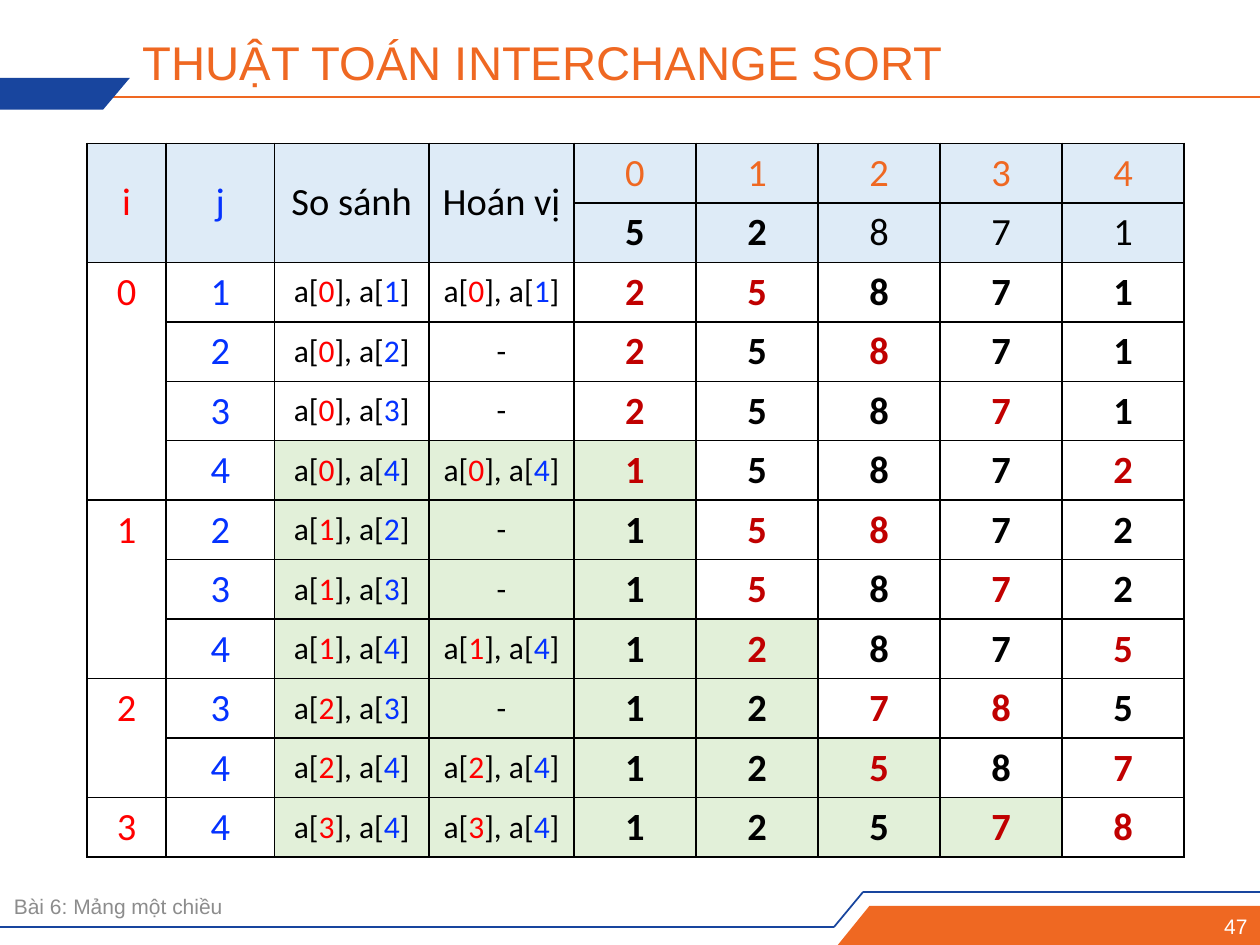
from dataclasses import dataclass

from lxml import etree
from pptx import Presentation
from pptx.dml.color import RGBColor
from pptx.enum.shapes import MSO_CONNECTOR
from pptx.enum.text import MSO_ANCHOR, MSO_AUTO_SIZE, PP_ALIGN
from pptx.oxml.ns import qn
from pptx.slide import Slide
from pptx.table import Table, _Cell
from pptx.util import Cm, Pt

STRAIGHT = MSO_CONNECTOR.STRAIGHT
MIDDLE = MSO_ANCHOR.MIDDLE
NO_AUTOFIT = MSO_AUTO_SIZE.NONE
LEFT, CENTER, RIGHT = PP_ALIGN.LEFT, PP_ALIGN.CENTER, PP_ALIGN.RIGHT

ORANGE = RGBColor(0xEF, 0x68, 0x22)
NAVY = RGBColor(0x18, 0x45, 0x9E)
RED = RGBColor(0xFF, 0x00, 0x00)
BLUE = RGBColor(0x04, 0x32, 0xFF)
DARK_RED = RGBColor(0xC0, 0x00, 0x00)
BLACK = RGBColor(0x00, 0x00, 0x00)
WHITE = RGBColor(0xFF, 0xFF, 0xFF)
GRAY = RGBColor(0x8C, 0x8C, 0x8C)
PALE_BLUE = RGBColor(0xDE, 0xEB, 0xF7)
PALE_GREEN = RGBColor(0xE2, 0xF0, 0xD9)

SLIDE_WIDTH, SLIDE_HEIGHT = 25.4, 19.05
COLUMN_WIDTHS = [1.6, 2.18, 3.12, 2.92] + [2.46] * 5
ROW_HEIGHT = 1.19
HEADER_ROWS = 2
FIRST_VALUE = 4
INITIAL_VALUES = (5, 2, 8, 7, 1)
LAST_INDEX = len(INITIAL_VALUES) - 1


@dataclass(frozen=True)
class Piece:
    text: str
    color: RGBColor


@dataclass(frozen=True)
class Step:
    i: int
    j: int
    swapped: bool
    values: tuple[int, ...]


@dataclass(frozen=True)
class Rule:
    start: tuple[float, float]
    end: tuple[float, float]
    color: RGBColor


@dataclass(frozen=True)
class Band:
    corners: tuple[tuple[float, float], ...]
    color: RGBColor


@dataclass(frozen=True)
class Caption:
    text: str
    box: tuple[float, float, float, float]
    color: RGBColor
    align: PP_ALIGN


STEPS = [
    Step(0, 1, True, (2, 5, 8, 7, 1)),
    Step(0, 2, False, (2, 5, 8, 7, 1)),
    Step(0, 3, False, (2, 5, 8, 7, 1)),
    Step(0, 4, True, (1, 5, 8, 7, 2)),
    Step(1, 2, False, (1, 5, 8, 7, 2)),
    Step(1, 3, False, (1, 5, 8, 7, 2)),
    Step(1, 4, True, (1, 2, 8, 7, 5)),
    Step(2, 3, False, (1, 2, 7, 8, 5)),
    Step(2, 4, True, (1, 2, 5, 8, 7)),
    Step(3, 4, True, (1, 2, 5, 7, 8)),
]
RULES = [
    Rule((1.83, 1.96), (SLIDE_WIDTH, 1.96), ORANGE),
    Rule((0, 18.69), (16.81, 18.69), NAVY),
    Rule((16.81, 18.69), (17.4, 17.98), NAVY),
    Rule((17.4, 17.98), (SLIDE_WIDTH, 17.98), NAVY),
]
BANDS = [
    Band(((0, 1.57), (2.62, 1.57), (2.08, 2.21), (0, 2.21)), NAVY),
    Band(((17.53, 18.26), (SLIDE_WIDTH, 18.26), (SLIDE_WIDTH, 19.05), (16.89, 19.05)), ORANGE),
]
CAPTIONS = [
    Caption("Bài 6: Mảng một chiều", (0.03, 17.88, 16.74, 0.79), GRAY, LEFT),
    Caption("47", (20.09, 18.31, 5.31, 0.71), WHITE, RIGHT),
]


def draw_rule(slide: Slide, rule: Rule) -> None:
    line = slide.shapes.add_connector(STRAIGHT, *map(Cm, rule.start + rule.end))
    line.line.color.rgb = rule.color
    line.line.width = Pt(1)
    etree.SubElement(line._element.spPr, qn("a:effectLst"))


def draw_band(slide: Slide, band: Band) -> None:
    start, *others = [(Cm(x), Cm(y)) for x, y in band.corners]
    outline = slide.shapes.build_freeform(*start)
    outline.add_line_segments(others, close=True)
    ribbon = outline.convert_to_shape()
    ribbon.shadow.inherit = False
    ribbon.fill.solid()
    ribbon.fill.fore_color.rgb = band.color
    ribbon.line.fill.background()


def draw_caption(slide: Slide, caption: Caption) -> None:
    frame = slide.shapes.add_textbox(*map(Cm, caption.box)).text_frame
    frame.word_wrap = True
    frame.vertical_anchor = MIDDLE
    frame.text = caption.text
    paragraph = frame.paragraphs[0]
    paragraph.alignment = caption.align
    font = paragraph.runs[0].font
    font.name, font.size, font.color.rgb = "Arial", Pt(12), caption.color


def set_borders(cell: _Cell, hidden: str = "") -> None:
    properties = cell._tc.get_or_add_tcPr()
    for side in "LRTB":
        border = etree.SubElement(properties, qn(f"a:ln{side}"), w=str(Pt(1)))
        if side in hidden:
            etree.SubElement(border, qn("a:noFill"))
        else:
            fill = etree.SubElement(border, qn("a:solidFill"))
            etree.SubElement(fill, qn("a:srgbClr"), val=str(BLACK))


def fill_cell(cell: _Cell, pieces: list[Piece], background: RGBColor | None = None,
              size: int = 22, bold: bool = False, hidden: str = "") -> None:
    set_borders(cell, hidden)
    if background is None:
        cell.fill.background()
    else:
        cell.fill.solid()
        cell.fill.fore_color.rgb = background
    cell.vertical_anchor = MIDDLE
    paragraph = cell.text_frame.paragraphs[0]
    paragraph.alignment = CENTER
    for piece in pieces:
        run = paragraph.add_run()
        run.text = piece.text
        run.font.name, run.font.size, run.font.bold = "Calibri", Pt(size), bold
        run.font.color.rgb = piece.color


def element_pair(step: Step) -> list[Piece]:
    return [Piece("a[", BLACK), Piece(str(step.i), RED), Piece("], a[", BLACK),
            Piece(str(step.j), BLUE), Piece("]", BLACK)]


def fill_header(table: Table) -> None:
    headings = [Piece("i", RED), Piece("j", BLUE), Piece("So sánh", BLACK), Piece("Hoán vị", BLACK)]
    for column, heading in enumerate(headings):
        fill_cell(table.cell(0, column), [heading], PALE_BLUE)
        fill_cell(table.cell(1, column), [], PALE_BLUE)
        table.cell(0, column).merge(table.cell(1, column))
    for index, value in enumerate(INITIAL_VALUES):
        column = FIRST_VALUE + index
        fill_cell(table.cell(0, column), [Piece(str(index), ORANGE)], PALE_BLUE)
        fill_cell(table.cell(1, column), [Piece(str(value), BLACK)], PALE_BLUE, bold=index < 2)


def fill_step(table: Table, row: int, step: Step) -> None:
    opens, closes = step.j == step.i + 1, step.j == LAST_INDEX
    hidden = ("" if opens else "T") + ("" if closes else "B")
    settled = step.i + closes
    label_fill = PALE_GREEN if settled else None
    pair = element_pair(step)
    fill_cell(table.cell(row, 0), [Piece(str(step.i), RED)] if opens else [], hidden=hidden)
    fill_cell(table.cell(row, 1), [Piece(str(step.j), BLUE)])
    fill_cell(table.cell(row, 2), pair, label_fill, size=18)
    fill_cell(table.cell(row, 3), pair if step.swapped else [Piece("-", BLACK)], label_fill, size=18)
    for index, value in enumerate(step.values):
        color = DARK_RED if index in (step.i, step.j) else BLACK
        fill_cell(table.cell(row, FIRST_VALUE + index), [Piece(str(value), color)],
                  PALE_GREEN if index < settled else None, bold=True)


def draw_trace(slide: Slide) -> None:
    row_count = HEADER_ROWS + len(STEPS)
    table = slide.shapes.add_table(row_count, len(COLUMN_WIDTHS), Cm(1.75), Cm(2.89),
                                   Cm(sum(COLUMN_WIDTHS)), Cm(ROW_HEIGHT * row_count)).table
    table.first_row = table.horz_banding = False
    for column, width in zip(table.columns, COLUMN_WIDTHS):
        column.width = Cm(width)
    for row in table.rows:
        row.height = Cm(ROW_HEIGHT)
    fill_header(table)
    for row, step in enumerate(STEPS, HEADER_ROWS):
        fill_step(table, row, step)


def write_title(slide: Slide) -> None:
    title = slide.shapes.title
    title.left, title.top, title.width, title.height = map(Cm, (2.62, 0.64, 21.03, 1.35))
    frame = title.text_frame
    frame.text = "THUẬT TOÁN INTERCHANGE SORT"
    frame.auto_size = NO_AUTOFIT
    frame.vertical_anchor = MIDDLE
    paragraph = frame.paragraphs[0]
    paragraph.alignment = LEFT
    paragraph.line_spacing = 0.9
    font = paragraph.runs[0].font
    font.name, font.size, font.color.rgb = "Arial", Pt(27), ORANGE


def main() -> None:
    deck = Presentation()
    deck.slide_width, deck.slide_height = Cm(SLIDE_WIDTH), Cm(SLIDE_HEIGHT)
    slide = deck.slides.add_slide(deck.slide_layouts[5])
    for rule in RULES:
        draw_rule(slide, rule)
    for band in BANDS:
        draw_band(slide, band)
    write_title(slide)
    draw_trace(slide)
    for caption in CAPTIONS:
        draw_caption(slide, caption)
    deck.save("out.pptx")


if __name__ == "__main__":
    main()
